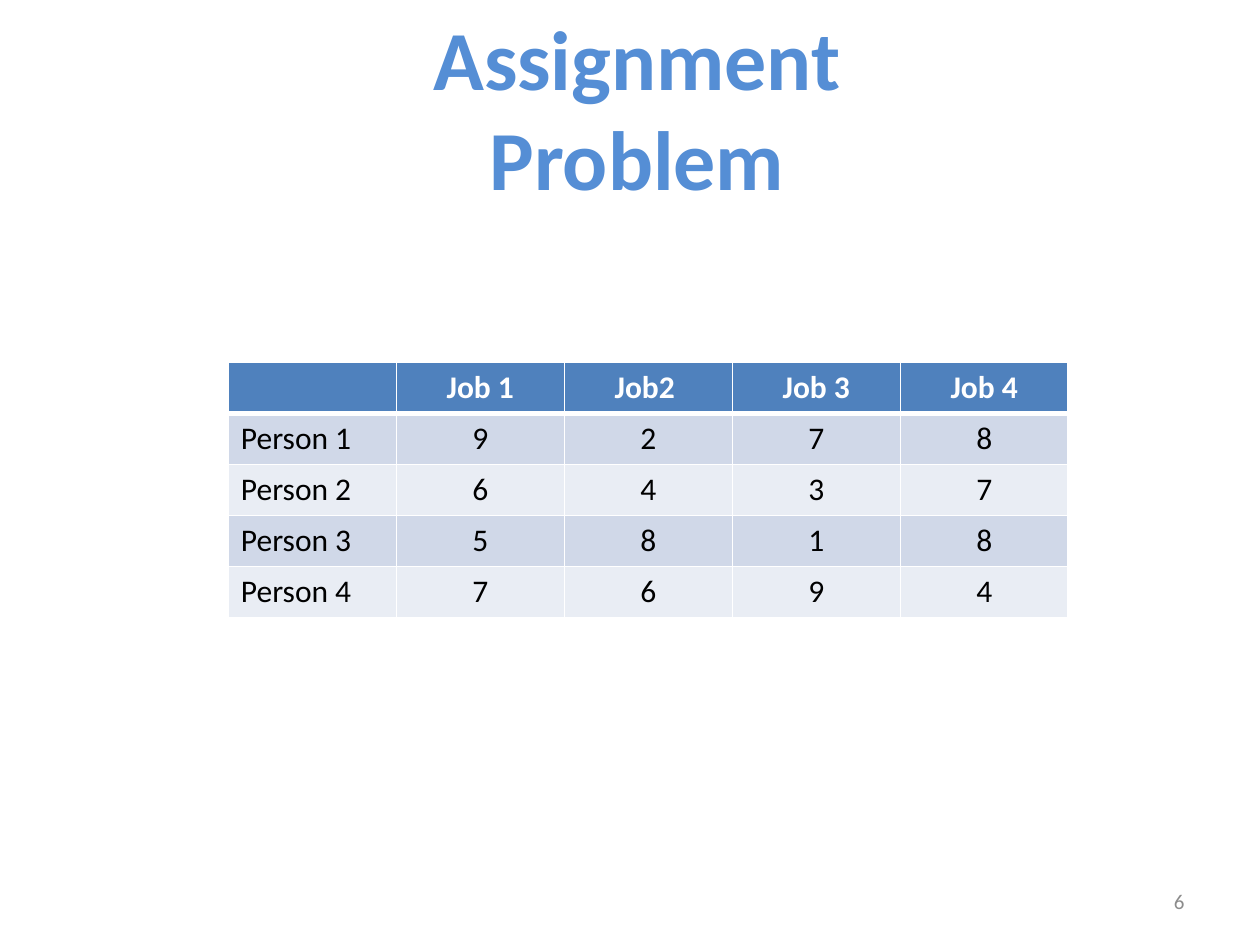
"""Build the Assignment Problem slide with its cost table."""
from dataclasses import dataclass

import pptx
import pptx.util
import pptx.dml.color
import pptx.enum.text
import pptx.oxml.ns
from lxml import etree

Pt = pptx.util.Pt
Align = pptx.enum.text.PP_ALIGN
Anchor = pptx.enum.text.MSO_ANCHOR


@dataclass(frozen=True)
class Theme:
    font: str = "Calibri"
    title: str = "558ED5"
    header: str = "4F81BD"
    bands: tuple = ("D0D8E8", "E9EDF4")
    light: str = "FFFFFF"
    dark: str = "000000"
    muted: str = "8C8C8C"
    title_size: int = 48
    table_size: int = 18
    number_size: int = 12


THEME = Theme()
COSTS = [
    ["", "Job 1", "Job2 ", "Job 3", "Job 4"],
    ["Person 1", "9", "2", "7", "8"],
    ["Person 2", "6", "4", "3", "7"],
    ["Person 3", "5", "8", "1", "8"],
    ["Person 4", "7", "6", "9", "4"],
]


def write_text(frame, text, size, color, align, bold=False):
    frame.text = text
    para = frame.paragraphs[0]
    para.alignment = align
    para.font.size = Pt(size)
    for span in para.runs:
        span.font.name = THEME.font
        span.font.size = Pt(size)
        span.font.bold = bold
        span.font.color.rgb = pptx.dml.color.RGBColor.from_string(color)


def add_label(slide, bounds, text, size, color, align, anchor=Anchor.TOP, bold=False):
    box = slide.shapes.add_textbox(*map(Pt, bounds))
    box.text_frame.word_wrap = True
    box.text_frame.vertical_anchor = anchor
    write_text(box.text_frame, text, size, color, align, bold)


def set_borders(cell, widths):
    properties = cell._tc.get_or_add_tcPr()
    for index, (side, width) in enumerate(widths.items()):
        line = etree.Element(pptx.oxml.ns.qn(f"a:{side}"), w=str(Pt(width)))
        fill = etree.SubElement(line, pptx.oxml.ns.qn("a:solidFill"))
        etree.SubElement(fill, pptx.oxml.ns.qn("a:srgbClr"), val=THEME.light)
        properties.insert(index, line)


def style_cell(cell, text, row, column):
    is_header = row == 0
    fill = THEME.header if is_header else THEME.bands[(row - 1) % 2]
    color = THEME.light if is_header else THEME.dark
    align = Align.LEFT if column == 0 else Align.CENTER
    cell.fill.solid()
    cell.fill.fore_color.rgb = pptx.dml.color.RGBColor.from_string(fill)
    write_text(cell.text_frame, text, THEME.table_size, color, align, is_header)
    top = 3 if row == 1 else 1
    bottom = 3 if is_header else 1
    set_borders(cell, {"lnL": 1, "lnR": 1, "lnT": top, "lnB": bottom})


def add_cost_table(slide, left, top, column_width, row_height):
    rows, columns = len(COSTS), len(COSTS[0])
    bounds = (left, top, column_width * columns, row_height * rows)
    table = slide.shapes.add_table(rows, columns, *map(Pt, bounds)).table
    for row, values in enumerate(COSTS):
        for column, text in enumerate(values):
            style_cell(table.cell(row, column), text, row, column)


def main():
    deck = pptx.Presentation()
    deck.slide_width, deck.slide_height = Pt(720), Pt(540)
    slide = deck.slides.add_slide(deck.slide_layouts[6])
    add_label(slide, (178.5, 0, 371, 124), "Assignment Problem",
              THEME.title_size, THEME.title, Align.CENTER, bold=True)
    add_cost_table(slide, left=130.5, top=207, column_width=96, row_height=29.2)
    add_label(slide, (516, 500.5, 168, 28.75), "6",
              THEME.number_size, THEME.muted, Align.RIGHT, Anchor.MIDDLE)
    deck.save("out.pptx")


if __name__ == "__main__":
    main()
